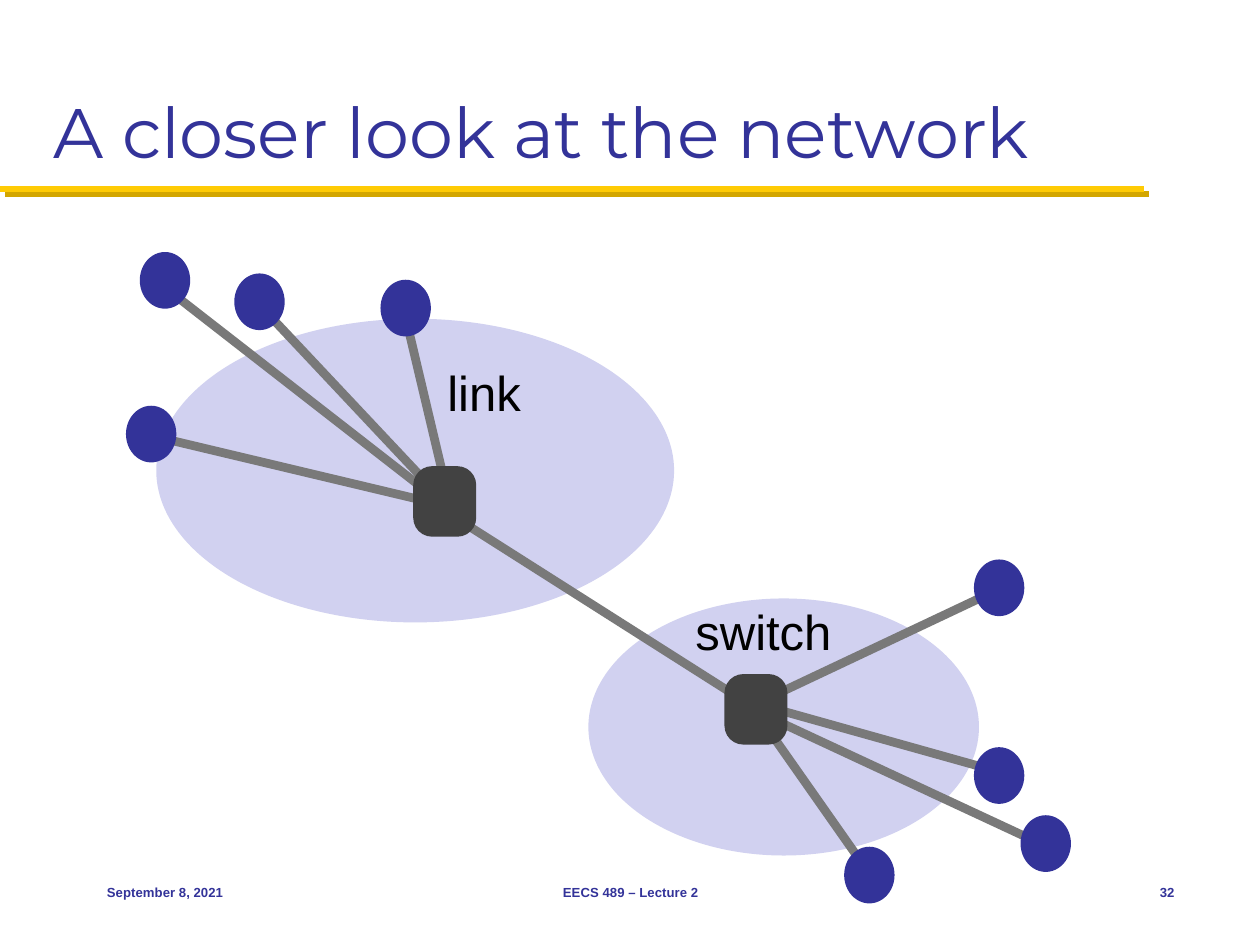
from lxml.etree import SubElement
from pptx import Presentation
from pptx.dml.color import RGBColor
from pptx.enum.shapes import MSO_CONNECTOR, MSO_SHAPE
from pptx.enum.text import MSO_ANCHOR, PP_ALIGN
from pptx.oxml.ns import qn
from pptx.util import Inches, Pt

NAVY = RGBColor(0x33, 0x33, 0x99)
GOLD = RGBColor(0xFF, 0xCB, 0x05)
DARK_GOLD = RGBColor(0xD3, 0xA6, 0x00)
LAVENDER = RGBColor(0xD1, 0xD1, 0xF0)
GRAY = RGBColor(0x79, 0x79, 0x79)
CHARCOAL = RGBColor(0x42, 0x42, 0x42)
BLACK = RGBColor(0, 0, 0)

HOST_SIZE = (0.4, 0.45)
SWITCH_SIZE = (0.5, 0.56)

# Each subnet: cloud box, switch corner, label with its box, and hosts as
# (host corner, link start at the host, link end at the switch).
SUBNETS = [
    ((1.24, 2.53, 4.11, 2.41), (3.28, 3.7), "link", (3.49, 2.82, 0.85, 0.58), [
        ((3.02, 2.22), (3.22, 2.52), (3.58, 4.04)),
        ((1, 3.22), (1.21, 3.46), (3.48, 4)),
        ((1.11, 2), (1.32, 2.29), (3.44, 3.94)),
        ((1.86, 2.17), (2.06, 2.42), (3.48, 3.93)),
    ]),
    ((4.67, 4.75, 3.1, 2.04), (5.75, 5.35), "switch", (5.46, 4.72, 1.35, 0.58), [
        ((8.1, 6.47), (8.31, 6.72), (5.97, 5.63)),
        ((7.73, 4.44), (7.92, 4.68), (5.95, 5.61)),
        ((6.7, 6.72), (6.89, 6.92), (6.02, 5.68)),
        ((7.73, 5.93), (7.91, 6.12), (6.02, 5.59)),
    ]),
]
TRUNK = ((3.46, 4.01), (6.01, 5.63))


def add_text(page, box, text, size, color, font="Arial", bold=False,
             align=PP_ALIGN.LEFT, anchor=MSO_ANCHOR.MIDDLE,
             margins=(0.1, 0.05)):
    frame = page.shapes.add_textbox(*map(Inches, box)).text_frame
    frame.word_wrap = True
    frame.vertical_anchor = anchor
    frame.margin_left = frame.margin_right = Inches(margins[0])
    frame.margin_top = frame.margin_bottom = Inches(margins[1])
    para = frame.paragraphs[0]
    para.alignment = align
    span = para.add_run()
    span.text = text
    span.font.size = Pt(size)
    span.font.name = font
    span.font.bold = bold
    span.font.color.rgb = color


def add_line(page, start, end, color, width):
    """Draw a straight line and return its empty effect list."""
    line = page.shapes.add_connector(MSO_CONNECTOR.STRAIGHT,
                                     *map(Inches, (*start, *end)))
    line.line.color.rgb = color
    line.line.width = Pt(width)
    return SubElement(line._element.spPr, qn("a:effectLst"))


def add_filled(page, kind, box, color):
    shape = page.shapes.add_shape(kind, *map(Inches, box))
    shape.shadow.inherit = False
    shape.fill.solid()
    shape.fill.fore_color.rgb = color
    shape.line.fill.background()
    return shape


def add_header(page, box):
    effects = add_line(page, (0, 1.5), (9.08, 1.5), GOLD, 3.5)
    shadow = SubElement(effects, qn("a:outerShdw"), dist=str(Pt(4.2)),
                        dir=str(45 * 60000), algn="ctr", rotWithShape="0")
    SubElement(shadow, qn("a:srgbClr"), val=str(DARK_GOLD))
    add_text(page, box, "A closer look at the network",
             40, NAVY, font="Montserrat", anchor=MSO_ANCHOR.BOTTOM)


def add_network(page, subnets):
    for cloud, *_ in subnets:
        add_filled(page, MSO_SHAPE.OVAL, cloud, LAVENDER)
    add_line(page, *TRUNK, GRAY, 5)
    for _, switch, label, label_box, hosts in subnets:
        for _, start, end in hosts:
            add_line(page, start, end, GRAY, 5)
        for corner, _, _ in hosts:
            add_filled(page, MSO_SHAPE.OVAL, (*corner, *HOST_SIZE), NAVY)
        add_text(page, label_box, label, 28, BLACK, margins=(0.06, 0.06))
        node = add_filled(page, MSO_SHAPE.ROUNDED_RECTANGLE,
                          (*switch, *SWITCH_SIZE), CHARCOAL)
        node.adjustments[0] = 0.3


def add_footer(page, top, height):
    for left, width, text, align in (
            (0.75, 2.08, "September 8, 2021", PP_ALIGN.LEFT),
            (3.42, 3.17, "EECS 489 – Lecture 2", PP_ALIGN.CENTER),
            (8.75, 0.67, "32", PP_ALIGN.RIGHT)):
        add_text(page, (left, top, width, height), text, 7.5, NAVY,
                 bold=True, align=align)


def main():
    deck = Presentation()
    deck.slide_width, deck.slide_height = Inches(10), Inches(7.5)
    page = deck.slides.add_slide(deck.slide_layouts[6])
    add_header(page, (0.33, 0.17, 9.33, 1.25))
    add_network(page, SUBNETS)
    add_footer(page, 6.83, 0.5)
    deck.save("out.pptx")


if __name__ == "__main__":
    main()
